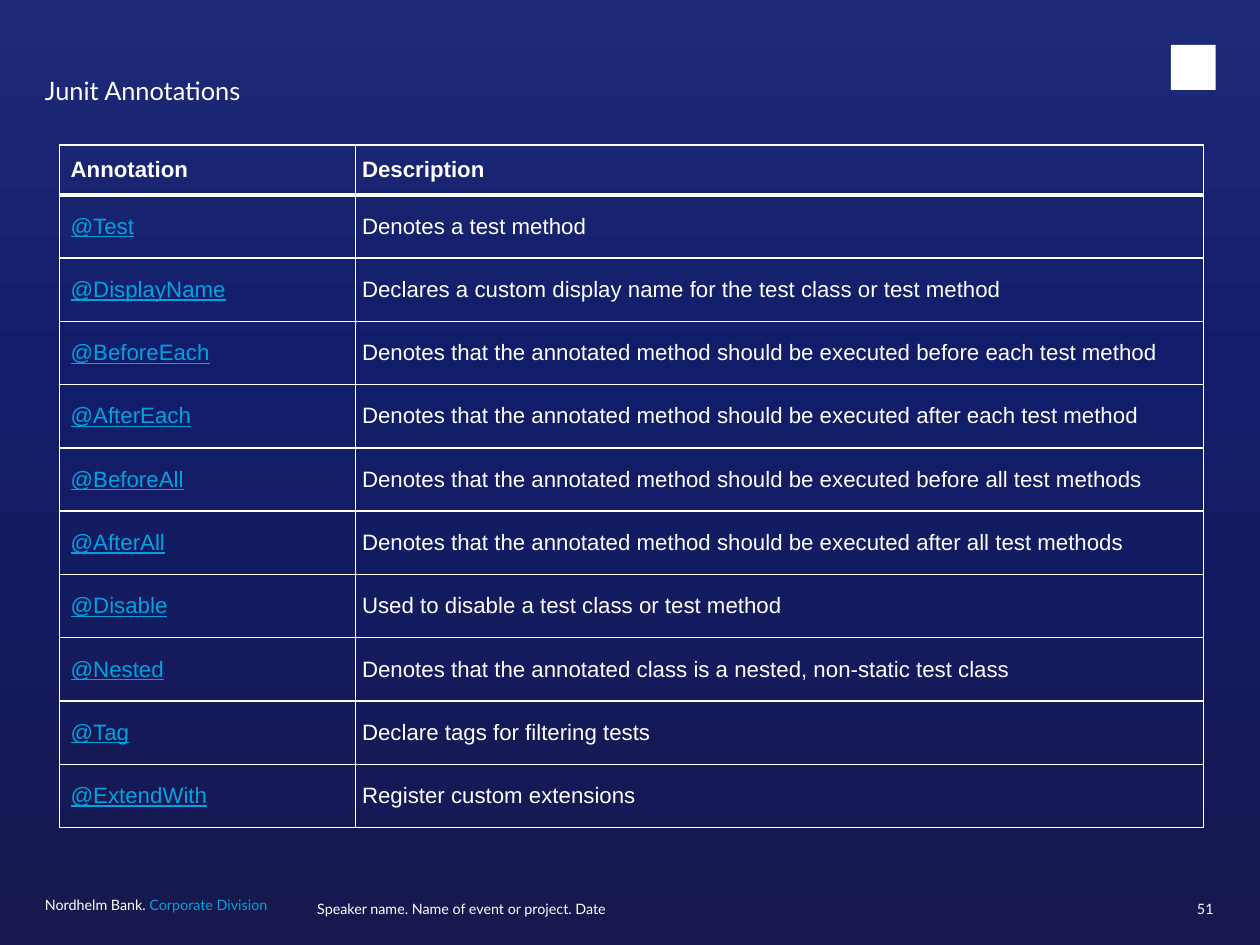
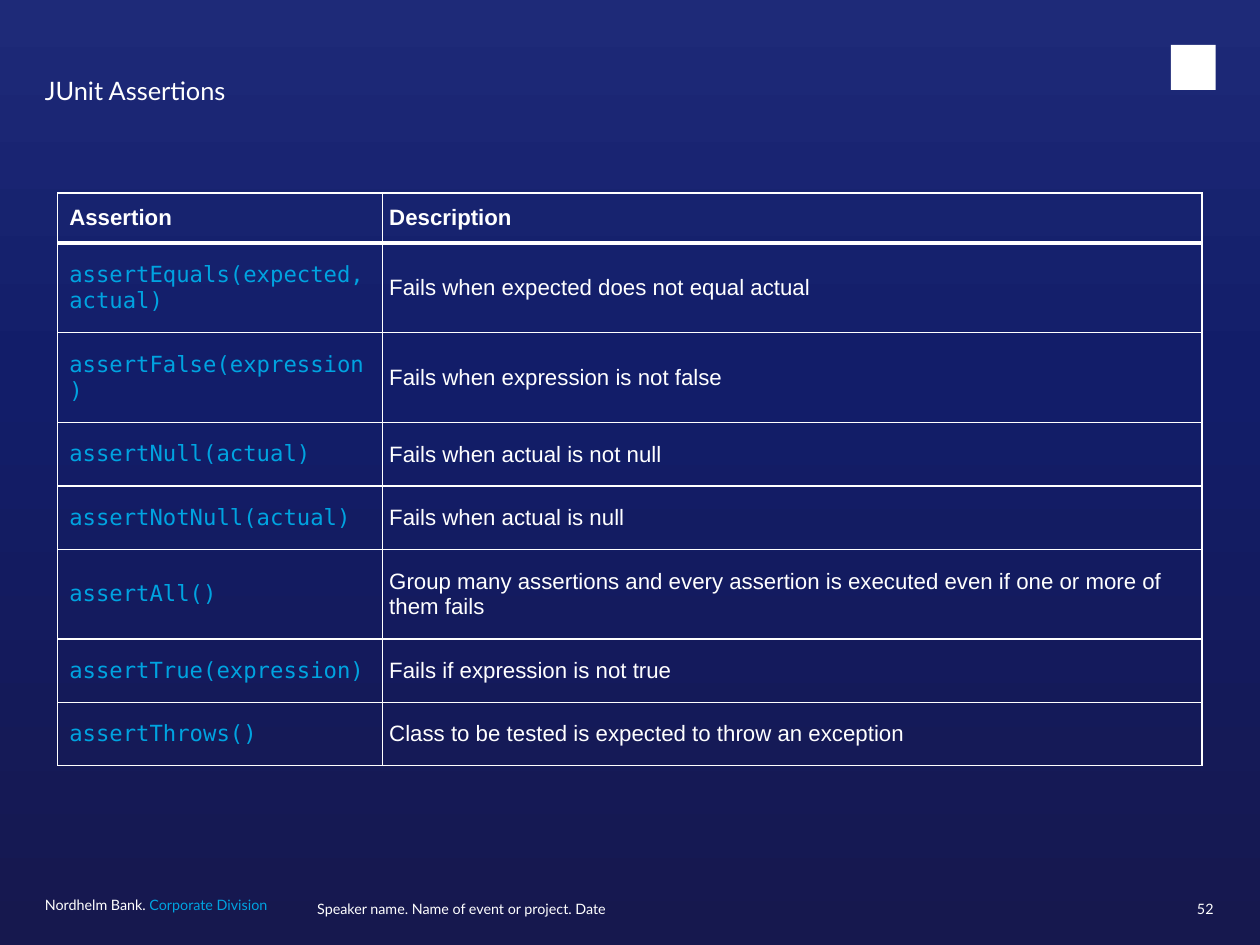
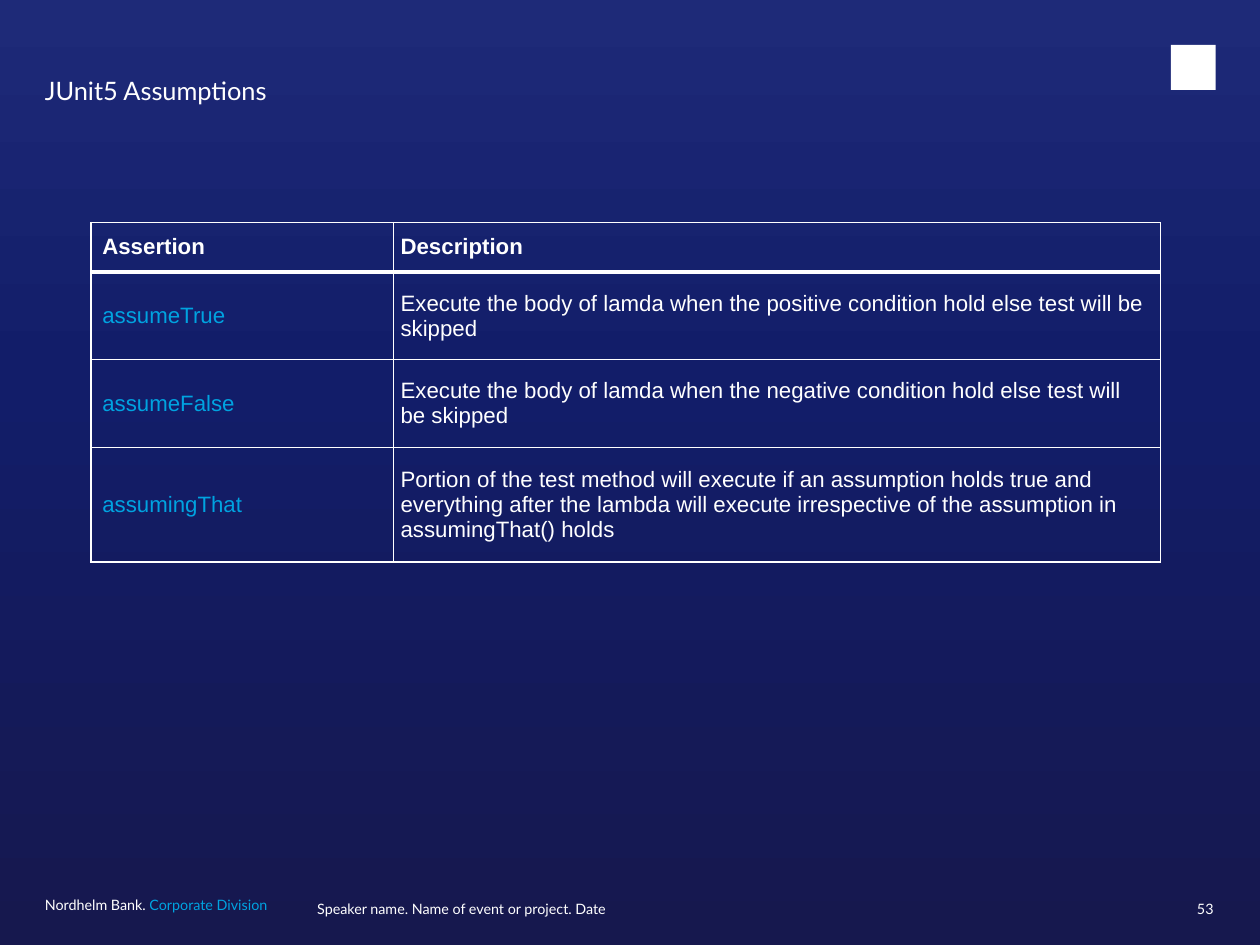
from lxml.etree import SubElement
from pptx import Presentation
from pptx.dml.color import RGBColor
from pptx.enum.shapes import MSO_SHAPE
from pptx.enum.text import MSO_ANCHOR, PP_ALIGN
from pptx.oxml.ns import qn
from pptx.util import Cm, Inches, Pt

WIDTH, HEIGHT = Cm(28), Cm(21)
WHITE = RGBColor(0xFF, 0xFF, 0xFF)
CYAN = RGBColor(0x00, 0xA3, 0xE0)
NAVY_STOPS = [
    (0, RGBColor(0x16, 0x18, 0x4E)),
    (60, RGBColor(0x12, 0x1D, 0x69)),
    (100, RGBColor(0x1E, 0x2A, 0x78)),
]
HEADING, BODY, CODE = "Lato", "Arial", "DejaVu Sans Mono"

# Boxes are left, top, width, height in percent of the slide
TITLE_BOX = (3.57, 8.28, 85.93, 7.38)
EMBLEM_BOX = (92.92, 4.75, 3.57, 4.76)
BRAND_BOX = (3.57, 95.18, 19.78, 2.42)
EVENT_BOX = (25.18, 95.15, 49, 2.42)
NUMBER_BOX = (92.86, 95.15, 3.45, 2.42)

FIRST_NUMBER = 51
ROW_HEIGHT = Inches(0.41)
OUTER_PAD, INNER_PAD = Inches(0.1), Inches(0.06)
HEAD_PAD = Inches(0.1)

# Table place: left, top, width in percent of the slide; split in percent of the table
TOPICS = [
    {
        "title": "Junit Annotations",
        "place": (4.7, 15.36, 90.8), "split": 25.87, "pad": Inches(0.16),
        "term_font": BODY, "underline": True,
        "rows": [
            ("Annotation", "Description"),
            ("@Test", "Denotes a test method"),
            ("@DisplayName", "Declares a custom display name for the test class or test method"),
            ("@BeforeEach", "Denotes that the annotated method should be executed before each test method"),
            ("@AfterEach", "Denotes that the annotated method should be executed after each test method"),
            ("@BeforeAll", "Denotes that the annotated method should be executed before all test methods"),
            ("@AfterAll", "Denotes that the annotated method should be executed after all test methods"),
            ("@Disable", "Used to disable a test class or test method"),
            ("@Nested", "Denotes that the annotated class is a nested, non-static test class"),
            ("@Tag", "Declare tags for filtering tests"),
            ("@ExtendWith", "Register custom extensions"),
        ],
    },
    {
        "title": "JUnit Assertions",
        "place": (4.59, 20.44, 90.8), "split": 28.37, "pad": Inches(0.16),
        "term_font": CODE, "underline": False,
        "rows": [
            ("Assertion", "Description"),
            ("assertEquals(expected, actual)", "Fails when expected does not equal actual"),
            ("assertFalse(expression)", "Fails when expression is not false"),
            ("assertNull(actual)", "Fails when actual is not null"),
            ("assertNotNull(actual)", "Fails when actual is null"),
            ("assertAll()", "Group many assertions and every assertion is executed "
                            "even if one or more of them fails"),
            ("assertTrue(expression)", "Fails if expression is not true"),
            ("assertThrows()", "Class to be tested is expected to throw an exception"),
        ],
    },
    {
        "title": "JUnit5 Assumptions",
        "place": (7.21, 23.54, 84.91), "split": 28.31, "pad": Inches(0.15),
        "term_font": BODY, "underline": False,
        "rows": [
            ("Assertion", "Description"),
            ("assumeTrue", "Execute the body of lamda when the positive condition hold "
                           "else test will be skipped"),
            ("assumeFalse", "Execute the body of lamda when the negative condition hold "
                            "else test will be skipped"),
            ("assumingThat", "Portion of the test method will execute if an assumption holds true "
                             "and everything after the lambda will execute irrespective of "
                             "the assumption in assumingThat() holds"),
        ],
    },
]


def across(percent):
    return round(WIDTH * percent / 100)


def down(percent):
    return round(HEIGHT * percent / 100)


def to_emu(box):
    left, top, width, height = box
    return across(left), down(top), across(width), down(height)


def style(r, size, font, color, bold=False, underline=False):
    r.font.size = Pt(size)
    r.font.name = font
    r.font.color.rgb = color
    r.font.bold = bold
    r.font.underline = underline


def add_text(slide, box, parts, size, spacing, align=PP_ALIGN.LEFT, anchor=MSO_ANCHOR.TOP):
    """Place one line made of (text, colour) parts."""
    tf = slide.shapes.add_textbox(*to_emu(box)).text_frame
    tf.word_wrap = True
    tf.vertical_anchor = anchor
    tf.margin_left = tf.margin_top = tf.margin_right = tf.margin_bottom = 0
    p = tf.paragraphs[0]
    p.alignment = align
    p.line_spacing = spacing
    for text, color in parts:
        r = p.add_run()
        r.text = text
        style(r, size, HEADING, color)


def paint_background(master):
    """Gradient that runs from the bottom edge to the top edge."""
    fill = master.background.fill
    fill.gradient()
    fill.gradient_angle = 90
    stops = next(master.element.iter(qn("a:gsLst")))
    for stop in list(stops):
        stops.remove(stop)
    for percent, color in NAVY_STOPS:
        stop = SubElement(stops, qn("a:gs"), pos=str(percent * 1000))
        SubElement(stop, qn("a:srgbClr"), val=str(color))


def add_frame(slide, title, number):
    """Title, emblem and footer."""
    add_text(slide, TITLE_BOX, [(title, WHITE)], 16, 0.9)

    emblem = slide.shapes.add_shape(MSO_SHAPE.RECTANGLE, *to_emu(EMBLEM_BOX))
    emblem.shadow.inherit = False
    emblem.fill.solid()
    emblem.fill.fore_color.rgb = WHITE
    emblem.line.fill.background()

    add_text(slide, BRAND_BOX, [("Nordhelm Bank. ", WHITE), ("Corporate Division", CYAN)], 9, Pt(9))
    add_text(slide, EVENT_BOX, [("Speaker name. Name of event or project. Date", WHITE)],
             9, Pt(9), anchor=MSO_ANCHOR.MIDDLE)
    add_text(slide, NUMBER_BOX, [(str(number), WHITE)],
             9, Pt(9), PP_ALIGN.RIGHT, MSO_ANCHOR.MIDDLE)


def set_borders(cell, top, bottom):
    """White borders, 1 pt at the sides; top and bottom in points."""
    tc_pr = cell._tc.get_or_add_tcPr()
    for side, points in (("L", 1), ("R", 1), ("T", top), ("B", bottom)):
        ln = SubElement(tc_pr, qn(f"a:ln{side}"), w=str(Pt(points)))
        fill = SubElement(ln, qn("a:solidFill"))
        SubElement(fill, qn("a:srgbClr"), val=str(WHITE))


def add_glossary(slide, place, split, rows, pad, term_font, underline):
    """Two-column table of terms and descriptions under a header row."""
    left, top, width = across(place[0]), down(place[1]), across(place[2])
    table = slide.shapes.add_table(len(rows), 2, left, top, width, ROW_HEIGHT * len(rows)).table
    table.first_row = table.horz_banding = False
    table.columns[0].width = round(width * split / 100)
    table.columns[1].width = width - table.columns[0].width

    for i, row in enumerate(rows):
        is_head = i == 0
        for j, text in enumerate(row):
            cell = table.cell(i, j)
            is_term = j == 0 and not is_head
            set_borders(cell, top=3 if i == 1 else 1, bottom=3 if is_head else 1)
            cell.fill.background()
            cell.vertical_anchor = MSO_ANCHOR.MIDDLE
            cell.margin_left, cell.margin_right = (
                (OUTER_PAD, INNER_PAD) if j == 0 else (INNER_PAD, OUTER_PAD))
            cell.margin_top = cell.margin_bottom = HEAD_PAD if is_head else pad
            cell.text_frame.text = text
            style(cell.text_frame.paragraphs[0].runs[0], 14,
                  term_font if is_term else BODY,
                  CYAN if is_term else WHITE,
                  bold=is_head, underline=is_term and underline)


def main():
    prs = Presentation()
    prs.slide_width, prs.slide_height = WIDTH, HEIGHT
    paint_background(prs.slide_master)
    blank = prs.slide_layouts[6]
    for number, topic in enumerate(TOPICS, FIRST_NUMBER):
        slide = prs.slides.add_slide(blank)
        add_frame(slide, topic["title"], number)
        add_glossary(slide, topic["place"], topic["split"], topic["rows"],
                     topic["pad"], topic["term_font"], topic["underline"])
    prs.save("out.pptx")


if __name__ == "__main__":
    main()
